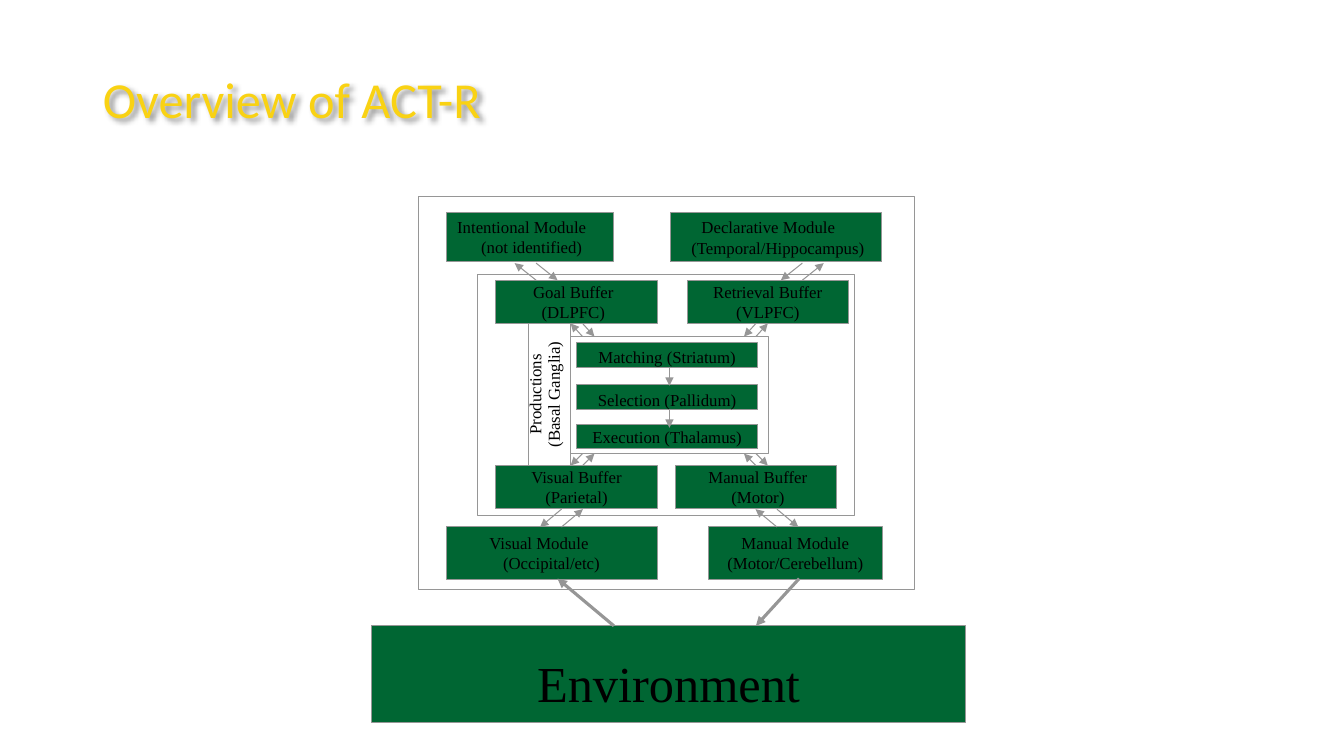
from dataclasses import dataclass

from lxml.etree import SubElement
from pptx import Presentation
from pptx.dml.color import RGBColor
from pptx.enum.shapes import MSO_CONNECTOR, MSO_SHAPE
from pptx.enum.text import MSO_ANCHOR, PP_ALIGN
from pptx.oxml.ns import qn
from pptx.util import Cm, Pt


@dataclass(frozen=True)
class Theme:
    title_color: RGBColor = RGBColor(0xF9, 0xD2, 0x13)
    fill: RGBColor = RGBColor(0x00, 0x66, 0x33)
    line: RGBColor = RGBColor(0x96, 0x96, 0x96)
    text: RGBColor = RGBColor(0, 0, 0)
    title_font: str = "Calibri"
    body_font: str = "Times New Roman"
    large: int = 36
    small: int = 12
    thin: float = 0.75
    thick: float = 2.25


class Diagram:
    def __init__(self, page, theme):
        self.page = page
        self.theme = theme

    def title(self, text, left, top, width, height):
        box = self.page.shapes.title
        box.left, box.top, box.width, box.height = map(Cm, (left, top, width, height))
        frame = box.text_frame
        frame.text = text
        frame.vertical_anchor = MSO_ANCHOR.MIDDLE
        para = frame.paragraphs[0]
        para.alignment = PP_ALIGN.LEFT
        para.line_spacing = 0.9
        self.set_font(para, self.theme.title_font, self.theme.large, self.theme.title_color)
        effects = SubElement(box._element.spPr, qn("a:effectLst"))
        shadow = SubElement(effects, qn("a:outerShdw"), blurRad=str(Pt(4)),
                            dist=str(Pt(3)), dir="2700000", algn="tl")
        color = SubElement(shadow, qn("a:srgbClr"), val="000000")
        SubElement(color, qn("a:alpha"), val="43000")

    def set_font(self, para, name, size, color):
        para.font.name = name
        para.font.size = Pt(size)
        para.font.color.rgb = color

    def frame(self, left, top, width, height):
        box = self.page.shapes.add_shape(MSO_SHAPE.RECTANGLE, *map(Cm, (left, top, width, height)))
        box.shadow.inherit = False
        box.fill.background()
        box.line.color.rgb = self.theme.line
        box.line.width = Pt(self.theme.thin)
        return box

    def label(self, box, lines, size, shift=0, drop=0, indent=0):
        frame = box.text_frame
        frame.word_wrap = True
        frame.vertical_anchor = MSO_ANCHOR.MIDDLE
        frame.margin_left, frame.margin_right = Cm(max(0, 2 * shift)), Cm(max(0, -2 * shift))
        frame.margin_top, frame.margin_bottom = Cm(2 * drop), 0
        frame.text = "\n".join(lines)
        for para in frame.paragraphs:
            para.alignment = PP_ALIGN.CENTER
            self.set_font(para, self.theme.body_font, size, self.theme.text)
        if indent:
            properties = frame.paragraphs[-1]._p.get_or_add_pPr()
            properties.set("marL", str(Cm(indent)))
            properties.set("indent", "0")

    def block(self, lines, place, size=None, **offsets):
        box = self.frame(*place)
        box.fill.solid()
        box.fill.fore_color.rgb = self.theme.fill
        self.label(box, lines, size or self.theme.small, **offsets)

    def side_label(self, lines, place):
        box = self.frame(*place)
        box.rotation = 270
        self.label(box, lines, self.theme.small)
        box.text_frame.vertical_anchor = MSO_ANCHOR.TOP
        box.text_frame.margin_top = Cm(0.13)
        for para in box.text_frame.paragraphs:
            para.line_spacing = 0.5
        box.text_frame.paragraphs[-1].space_before = Pt(6)

    def arrow(self, start, end, width=None):
        connector = self.page.shapes.add_connector(MSO_CONNECTOR.STRAIGHT, *map(Cm, (*start, *end)))
        connector.line.color.rgb = self.theme.line
        connector.line.width = Pt(width or self.theme.thin)
        SubElement(connector.line._get_or_add_ln(), qn("a:tailEnd"), type="triangle")
        SubElement(connector._element.spPr, qn("a:effectLst"))

    def exchange(self, x, top, bottom, reach):
        self.arrow((x, top), (x + reach, bottom))
        self.arrow((x, bottom), (x - reach, top))


def main():
    deck = Presentation()
    deck.slide_width, deck.slide_height = Cm(33.87), Cm(19.05)
    theme = Theme()
    diagram = Diagram(deck.slides.add_slide(deck.slide_layouts[5]), theme)
    diagram.title("Overview of ACT-R", 2.34, 1.04, 29.21, 3.05)

    diagram.side_label(("Productions", "(Basal Ganglia)"), (11.66, 9.4, 4.37, 1.07))
    for place in ((14.38, 8.48, 4.98, 2.95), (12.04, 6.91, 9.5, 6.07), (10.54, 4.95, 12.52, 9.91)):
        diagram.frame(*place)

    diagram.block(("Environment",), (9.37, 15.77, 14.96, 2.44), theme.large, drop=0.2)

    buffers = (
        ("Goal Buffer", "(DLPFC)", 12.5, 7.06, -0.08),
        ("Retrieval Buffer", "(VLPFC)", 17.32, 7.06, 0),
        ("Visual Buffer", "(Parietal)", 12.5, 11.73, 0),
        ("Manual Buffer", "(Motor)", 17.02, 11.73, 0.05),
    )
    for name, region, left, top, shift in buffers:
        diagram.block((name, region), (left, top, 4.06, 1.09), shift=shift)

    steps = (
        ("Matching (Striatum)", 8.64, 0.04),
        ("Selection (Pallidum)", 9.7, 0.06),
        ("Execution (Thalamus)", 10.69, 0),
    )
    for step, top, drop in steps:
        diagram.block((step,), (14.53, top, 4.57, 0.62), drop=drop)

    modules = (
        ("Intentional Module", "(not identified)", (11.25, 5.36, 4.22, 1.22), -0.21, 0.5),
        ("Declarative Module", "(Temporal/Hippocampus)", (16.89, 5.36, 5.33, 1.24), -0.19, 0.48),
        ("Visual Module", "(Occipital/etc)", (11.25, 13.28, 5.31, 1.32), -0.32, 0.63),
        ("Manual Module", "(Motor/Cerebellum)", (17.86, 13.28, 4.37, 1.32), 0, 0),
    )
    for name, region, place, shift, indent in modules:
        diagram.block((name, region), place, shift=shift, indent=indent)

    exchanges = (
        (14.68, 8.15, 8.48, 0.3),
        (19.05, 8.15, 8.48, -0.3),
        (14.68, 11.43, 11.73, -0.3),
        (19.05, 11.43, 11.73, 0.3),
        (13.51, 6.63, 7.06, 0.54),
        (20.22, 6.63, 7.06, -0.54),
        (14.15, 12.83, 13.28, -0.54),
        (19.58, 12.83, 13.28, 0.54),
    )
    for exchange in exchanges:
        diagram.exchange(*exchange)
    for top in (9.25, 10.31):
        diagram.arrow((16.87, top), (16.87, top + 0.47))
    diagram.arrow((15.47, 15.77), (14.05, 14.58), theme.thick)
    diagram.arrow((20.14, 14.58), (19.05, 15.77), theme.thick)

    deck.save("out.pptx")


if __name__ == "__main__":
    main()
